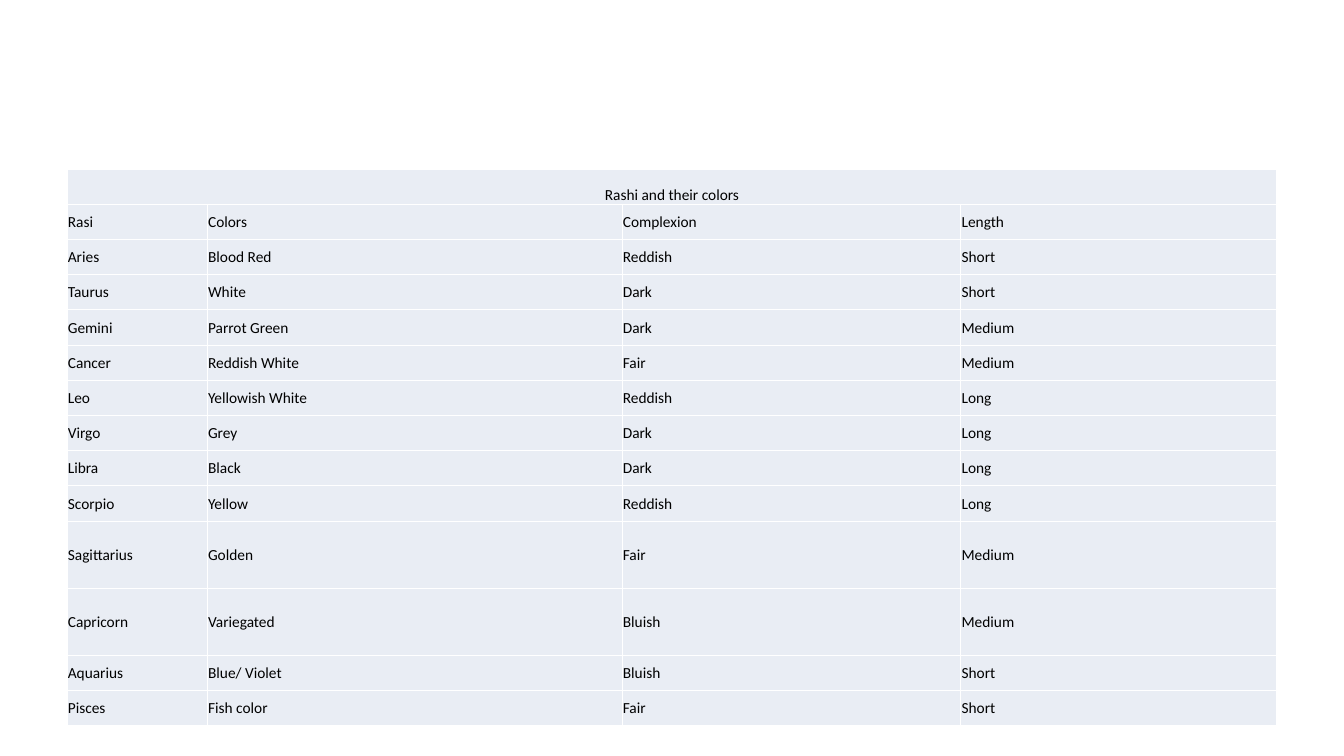
from dataclasses import dataclass

from lxml.etree import SubElement
from pptx import Presentation
from pptx.dml.color import RGBColor
from pptx.enum.text import MSO_ANCHOR as Anchor, PP_ALIGN as Align
from pptx.oxml.ns import qn
from pptx.util import Pt


@dataclass(frozen=True)
class Theme:
    font: str = "Calibri"
    text_size: float = 15
    text: str = "000000"
    cell: str = "E9EDF4"
    border: str = "FFFFFF"
    border_width: float = 1


THEME = Theme()

# Slide and table measures, in points
SLIDE_SIZE = (1311.12, 737.28)
TABLE_LEFT, TABLE_TOP = 65.5, 164.9
COLUMN_WIDTHS = (136.8, 404.6, 330.5, 308.2)
ROW_HEIGHT, TALL_ROW_HEIGHT = 34.35, 65.4
TALL_SIGNS = ("Sagittarius", "Capricorn")
CELL_INSET = 0.7

# Table wording
TITLE = "Rashi and their colors"
ROWS = (
    ("Rasi", "Colors", "Complexion", "Length"),
    ("Aries", "Blood Red", "Reddish", "Short"),
    ("Taurus", "White", "Dark", "Short"),
    ("Gemini", "Parrot Green", "Dark", "Medium"),
    ("Cancer", "Reddish White", "Fair", "Medium"),
    ("Leo", "Yellowish White", "Reddish", "Long"),
    ("Virgo", "Grey", "Dark", "Long"),
    ("Libra", "Black", "Dark", "Long"),
    ("Scorpio", "Yellow", "Reddish", "Long"),
    ("Sagittarius", "Golden", "Fair", "Medium"),
    ("Capricorn", "Variegated", "Bluish", "Medium"),
    ("Aquarius", "Blue/ Violet", "Bluish", "Short"),
    ("Pisces", "Fish color", "Fair", "Short"),
)


def write_text(cell, text, align=Align.LEFT, anchor=Anchor.MIDDLE,
               size=THEME.text_size, color=THEME.text):
    cell.vertical_anchor = anchor
    paragraph = cell.text_frame.paragraphs[0]
    paragraph.alignment = align
    run = paragraph.add_run()
    run.text = text
    run.font.name = THEME.font
    run.font.size = Pt(size)
    run.font.color.rgb = RGBColor.from_string(color)


def style_cell(cell):
    cell.margin_left = cell.margin_right = cell.margin_top = Pt(CELL_INSET)
    cell.margin_bottom = 0
    # Borders come before the fill in the cell properties
    properties = cell._tc.get_or_add_tcPr()
    for side in ("a:lnL", "a:lnR", "a:lnT", "a:lnB"):
        line = SubElement(properties, qn(side), w=str(Pt(THEME.border_width)))
        fill = SubElement(line, qn("a:solidFill"))
        SubElement(fill, qn("a:srgbClr"), val=THEME.border)
    cell.fill.solid()
    cell.fill.fore_color.rgb = RGBColor.from_string(THEME.cell)


def add_rashi_table(slide):
    heights = [ROW_HEIGHT] + [
        TALL_ROW_HEIGHT if row[0] in TALL_SIGNS else ROW_HEIGHT for row in ROWS]
    table = slide.shapes.add_table(
        len(heights), len(COLUMN_WIDTHS), Pt(TABLE_LEFT), Pt(TABLE_TOP),
        Pt(sum(COLUMN_WIDTHS)), Pt(sum(heights))).table
    table.first_row = table.horz_banding = False
    for column, width in zip(table.columns, COLUMN_WIDTHS):
        column.width = Pt(width)
    for row, height in zip(table.rows, heights):
        row.height = Pt(height)
    for cell in table.iter_cells():
        style_cell(cell)

    # Title across all columns
    title = table.cell(0, 0)
    title.merge(table.cell(0, len(COLUMN_WIDTHS) - 1))
    write_text(title, TITLE, align=Align.CENTER, anchor=Anchor.BOTTOM)

    # Headings and signs
    for row_index, texts in enumerate(ROWS, start=1):
        for column_index, text in enumerate(texts):
            write_text(table.cell(row_index, column_index), text)


def main():
    presentation = Presentation()
    presentation.slide_width, presentation.slide_height = map(Pt, SLIDE_SIZE)
    slide = presentation.slides.add_slide(presentation.slide_layouts[6])
    add_rashi_table(slide)
    presentation.save("out.pptx")


if __name__ == "__main__":
    main()
